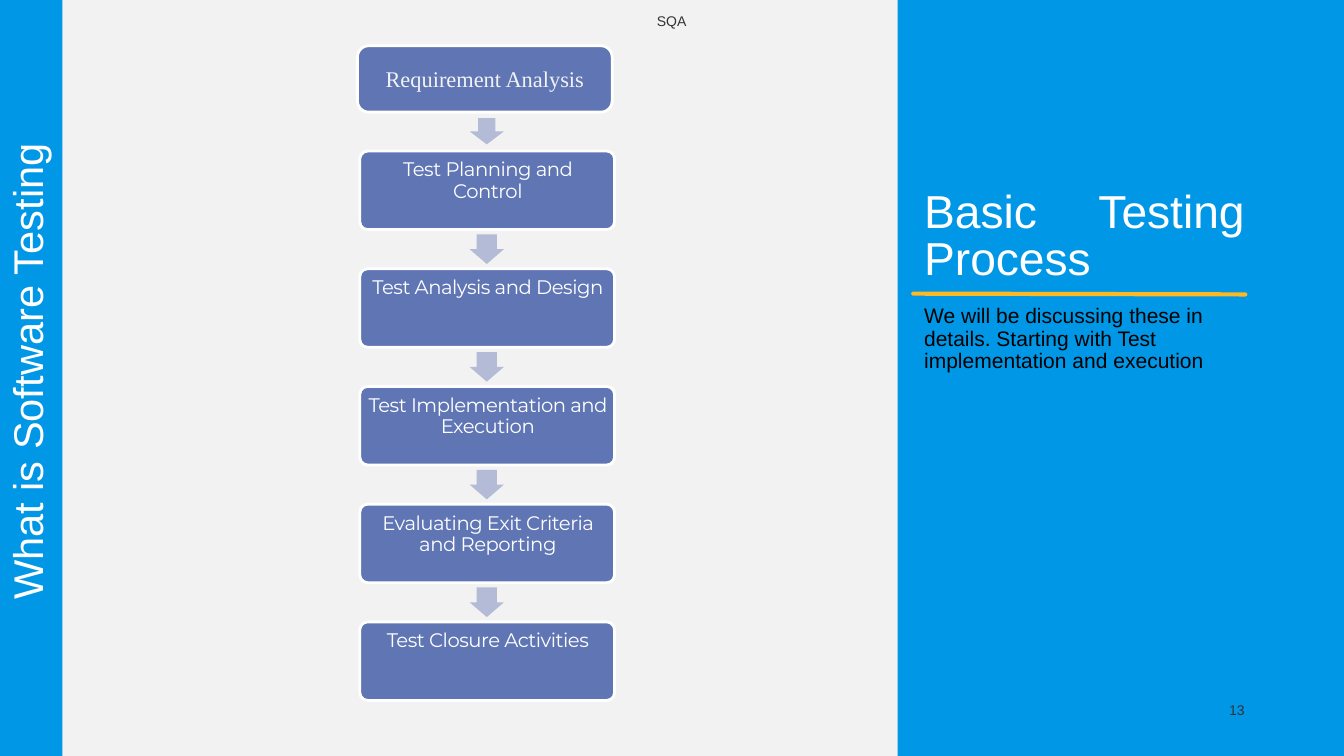
import pptx
import pptx.dml.color
import pptx.enum.shapes
import pptx.enum.text
import pptx.oxml
import pptx.oxml.ns
import pptx.util
from pptx.util import Cm

HUES = {
    "back": "F2F2F2", "blue": "0097E6", "gold": "FDB823", "box": "6076B4",
    "arrow": "B4BBD6", "white": "FFFFFF", "black": "000000", "gray": "333333",
}
KIND = pptx.enum.shapes.MSO_SHAPE
SIDE = pptx.enum.text.PP_ALIGN
ANCHOR = pptx.enum.text.MSO_ANCHOR
STEPS = [
    "Test Planning and Control",
    "Test Analysis and Design",
    "Test Implementation and Execution",
    "Evaluating Exit Criteria and Reporting",
    "Test Closure Activities",
]


def hue(name):
    """Return the named colour."""
    return pptx.dml.color.RGBColor.from_string(HUES[name])


def format_all(item, values):
    """Set every attribute in a dict of format values."""
    for key, value in values.items():
        setattr(item, key, value)


def write(shape, text, size, tint, lead, font="Arial", side=SIDE.LEFT,
          anchor=ANCHOR.TOP, pad=(0, 0, 0, 0), space=0):
    """Fill a shape with one styled paragraph."""
    frame = shape.text_frame
    left, top, right, bottom = map(Cm, pad)
    format_all(frame, {
        "word_wrap": True, "vertical_anchor": anchor, "margin_left": left,
        "margin_top": top, "margin_right": right, "margin_bottom": bottom,
    })
    para = frame.paragraphs[0]
    format_all(para, {"alignment": side, "line_spacing": pptx.util.Pt(lead)})
    run = para.add_run()
    run.text = text
    format_all(run.font, {"name": font, "size": pptx.util.Pt(size)})
    run.font.color.rgb = hue(tint)
    if space:
        run._r.get_or_add_rPr().set("spc", str(space))


def label(slide, box, text, *style, **more):
    """Add a text box and return it."""
    shape = slide.shapes.add_textbox(*map(Cm, box))
    write(shape, text, *style, **more)
    return shape


def block(slide, kind, box, tint, bends=(), edge=None):
    """Add a flat preset shape and return it."""
    shape = slide.shapes.add_shape(kind, *map(Cm, box))
    shape.shadow.inherit = False
    shape.fill.solid()
    shape.fill.fore_color.rgb = hue(tint)
    for spot, bend in enumerate(bends):
        shape.adjustments[spot] = bend
    if edge:
        shape.line.color.rgb = hue(edge)
        shape.line.width = pptx.util.Pt(3)
    else:
        shape.line.fill.background()
    return shape


def side_bar(slide, box):
    """Draw the left bar with its upright title."""
    x, y, wide, high = box
    block(slide, KIND.RECTANGLE, box, "blue")
    span, deep = 25.17, 1.68
    place = (x + (wide - span) / 2, y + 14.05 - deep / 2, span, deep)
    title = label(slide, place, "What is Software Testing", 44.5, "white", 45.4,
                  side=SIDE.CENTER)
    title.rotation = 270


def right_panel(slide, box):
    """Draw the right panel with heading, rule, note and page number."""
    x, y, wide, high = box
    block(slide, KIND.RECTANGLE, box, "blue")
    rule = slide.shapes.add_connector(
        pptx.enum.shapes.MSO_CONNECTOR.STRAIGHT,
        Cm(x + 0.59), Cm(y + 11.1), Cm(x + 13.14), Cm(y + 11.13))
    rule.line.color.rgb = hue("gold")
    rule.line.width = pptx.util.Pt(4.5)
    rule.line._get_or_add_ln().set("cap", "rnd")
    rule._element.spPr.append(pptx.oxml.parse_xml(
        "<a:effectLst %s/>" % pptx.oxml.ns.nsdecls("a")))
    left, span = x + 1, 12.12
    label(slide, (left, y + 7.21, span, 3.91), "Basic Testing Process",
          49.5, "white", 50.5, side=SIDE.JUSTIFY)
    label(slide, (left, y + 11.53, span, 13.87),
          "We will be discussing these in details. "
          "Starting with Test implementation and execution",
          22.5, "black", 24.3)
    label(slide, (left, y + 26.52, span, 1.37), "13", 15, "gray", 18,
          side=SIDE.RIGHT)


def flow(slide, box):
    """Draw the column of steps joined by arrows."""
    x, y, wide, high = box
    first = block(slide, KIND.ROUNDED_RECTANGLE, (x - 0.09, y, wide, 2.51),
                  "box", [0.17], "white")
    write(first, "Requirement Analysis", 24, "back", 28.8, "Times New Roman",
          SIDE.CENTER, ANCHOR.MIDDLE)
    mid = x + 4.15
    block(slide, KIND.DOWN_ARROW, (mid, y + 2.74, 1.3, 0.99), "arrow", [0.5, 0.5])
    tall, pitch = 2.97, 4.45
    for spot, text in enumerate(STEPS):
        top = y + 3.98 + spot * pitch
        step = block(slide, KIND.ROUNDED_RECTANGLE, (x, top, wide, tall),
                     "box", [0.1], "white")
        write(step, text, 21, "white", 22.7, "Montserrat", SIDE.CENTER,
              pad=(0.16, 0.24, 0.11, 0), space=-50)
        if spot < len(STEPS) - 1:
            block(slide, KIND.DOWN_ARROW, (mid, top + 3.15, 1.3, 1.12),
                  "arrow", [0.59, 0.5])


def main():
    """Build and save the slide."""
    deck = pptx.Presentation()
    wide, high = 50.8, 28.58
    format_all(deck, {"slide_width": Cm(wide), "slide_height": Cm(high)})
    slide = deck.slides.add_slide(deck.slide_layouts[6])
    slide.background.fill.solid()
    slide.background.fill.fore_color.rgb = hue("back")
    right_panel(slide, (33.93, 0, wide - 33.93, high))
    side_bar(slide, (0, 0, 2.36, high))
    label(slide, (17.07, 0.46, 16.64, 1.37), "SQA", 15, "gray", 18,
          side=SIDE.CENTER)
    flow(slide, (13.6, 1.73, 9.63, 24.75))
    deck.save("out.pptx")


if __name__ == "__main__":
    main()
